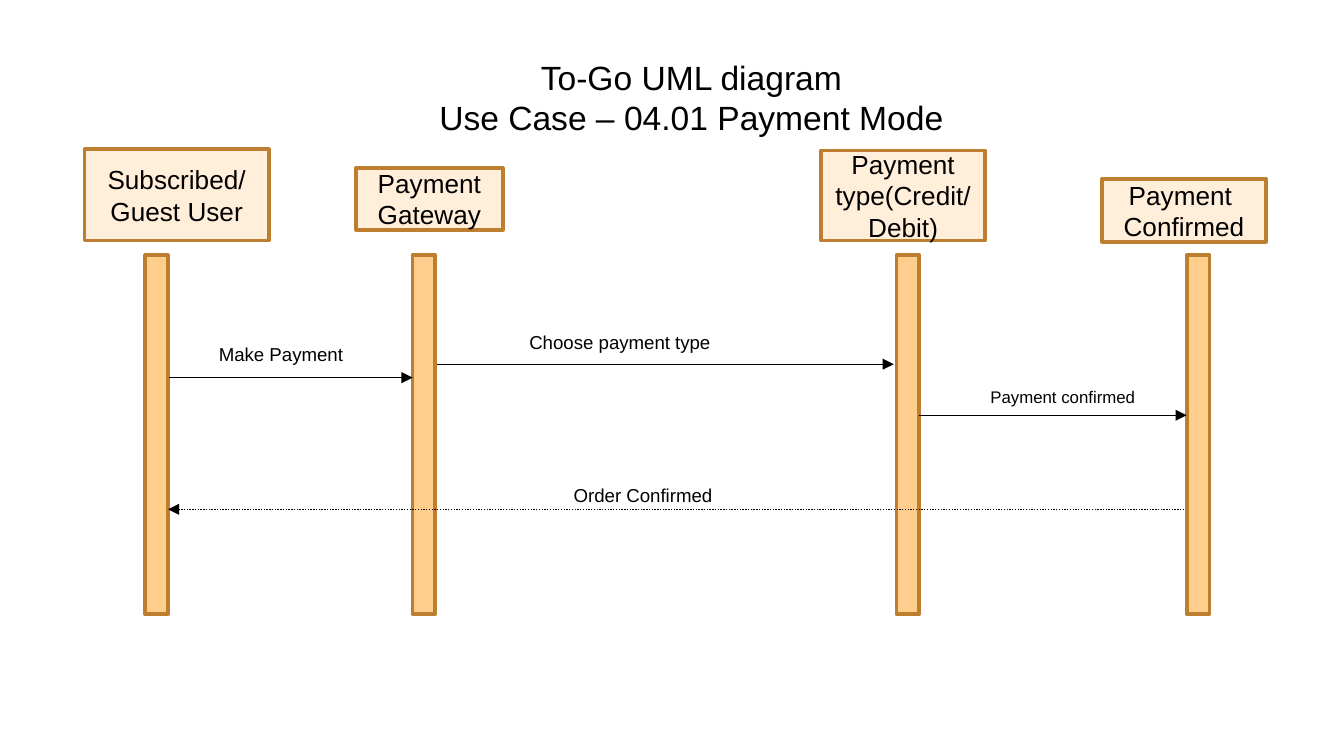
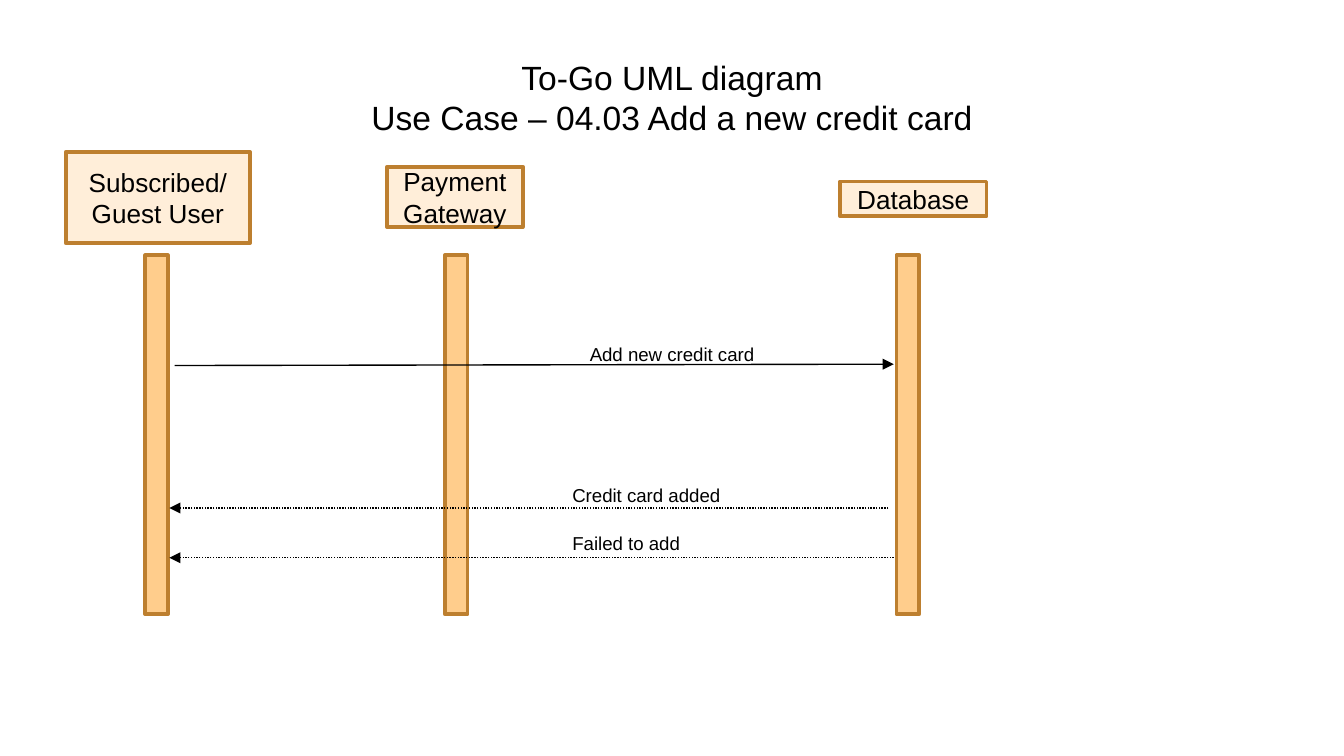
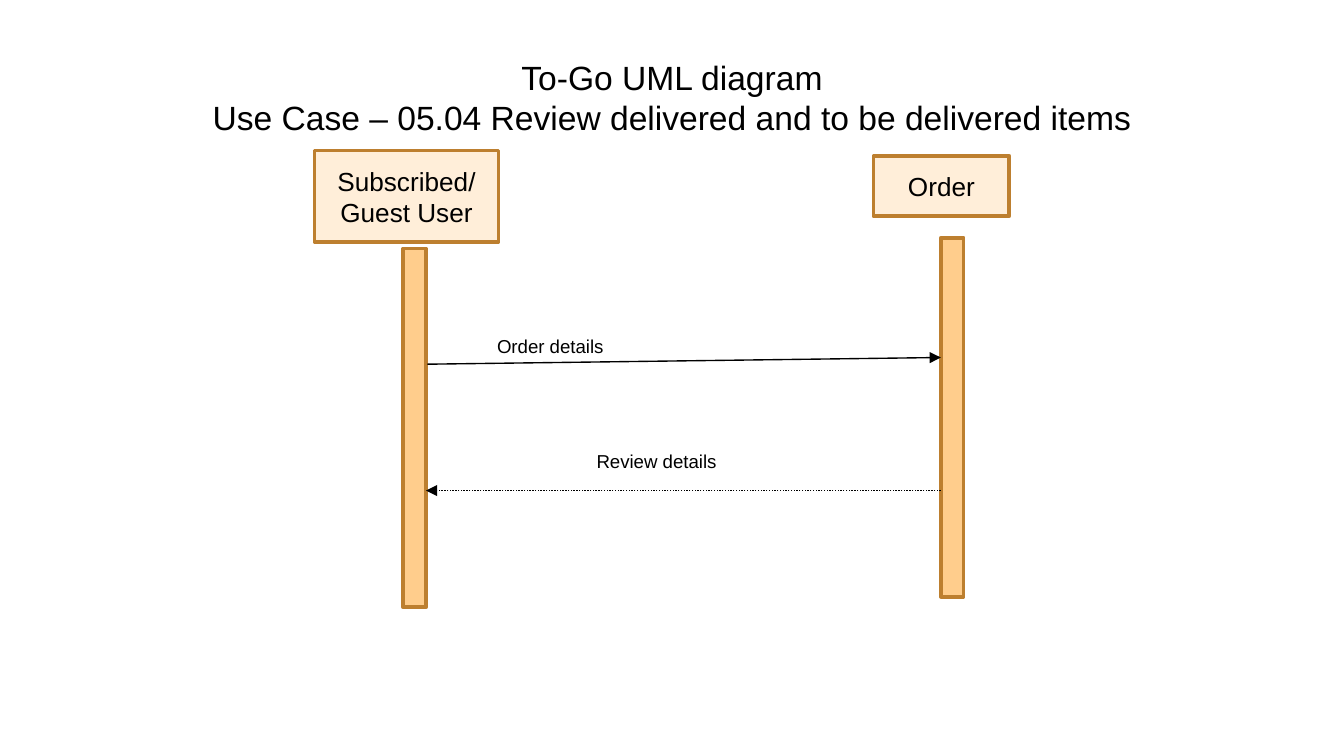
from dataclasses import dataclass

from lxml.etree import SubElement
from pptx import Presentation
from pptx.dml.color import RGBColor
from pptx.enum.dml import MSO_LINE
from pptx.enum.shapes import MSO_CONNECTOR, MSO_SHAPE
from pptx.enum.text import MSO_ANCHOR, MSO_AUTO_SIZE, PP_ALIGN
from pptx.oxml.ns import qn
from pptx.shapes.autoshape import Shape
from pptx.slide import Slide
from pptx.util import Inches, Pt

COLOURS = {"ink": "000000", "bar": "FFCD8C", "head": "FFEED9", "edge": "BD7F2F"}
FONT = "Arial"
SLIDE_WIDTH = Inches(10)
SLIDE_HEIGHT = SLIDE_WIDTH * 9 // 16
BAR_WIDTH, BAR_HEIGHT, BAR_TOP = 0.17, 2.67, 1.9
TITLE_TOP, TITLE_HEIGHT, TITLE_RIGHT = 0.32, 0.71, 9.66
USER = "Subscribed/Guest User"
USER_SIZE = (1.37, 0.68)


@dataclass(frozen=True)
class Participant:
    name: str
    corner: tuple[float, float]
    size: tuple[float, float]
    bar_left: float
    bar_top: float = BAR_TOP


@dataclass(frozen=True)
class Message:
    """An arrow from sender to receiver; a reply is dotted."""
    text: str
    start: tuple[float, float]
    end: tuple[float, float]
    label_corner: tuple[float, float]
    label_width: float
    reply: bool = False
    size: float = 10
    label_height: float = 0.27
    wrap: bool = True


@dataclass(frozen=True)
class Diagram:
    use_case: str
    participants: list[Participant]
    messages: list[Message]
    title_left: float = 0.34


DIAGRAMS = [
    Diagram(
        "04.01 Payment Mode",
        [
            Participant(USER, (0.63, 1.11), USER_SIZE, 1.08),
            Participant("Payment Gateway", (2.65, 1.25), (1.09, 0.46), 3.07),
            Participant("Payment type(Credit/Debit)", (6.11, 1.12), (1.22, 0.67), 6.67),
            Participant("Payment \nConfirmed", (8.2, 1.33), (1.22, 0.47), 8.83),
        ],
        [
            Message("Make Payment", (1.26, 2.81), (3.07, 2.81), (1.53, 2.5), 1.12),
            Message("Choose payment type", (3.25, 2.71), (6.65, 2.71), (3.84, 2.41), 1.58),
            Message("Payment confirmed", (6.84, 3.09), (8.83, 3.09), (7.27, 2.83), 1.39,
                    size=9, label_height=0.25),
            Message("Order Confirmed", (8.81, 3.79), (1.25, 3.79), (4.17, 3.55), 1.25,
                    reply=True),
        ],
        title_left=0.63,
    ),
    Diagram(
        "04.03 Add a new credit card",
        [
            Participant(USER, (0.49, 1.13), USER_SIZE, 1.08),
            Participant("Payment Gateway", (2.88, 1.24), (1.01, 0.45), 3.31),
            Participant("Database", (6.25, 1.35), (1.09, 0.26), 6.67),
        ],
        [
            Message("Add new credit card", (1.3, 2.72), (6.65, 2.71), (4.29, 2.5), 1.43,
                    wrap=False),
            Message("Credit card added", (6.61, 3.78), (1.26, 3.78), (4.16, 3.55), 1.31,
                    reply=True),
            Message("Failed to add", (6.65, 4.15), (1.26, 4.15), (4.16, 3.91), 1.01,
                    reply=True),
        ],
    ),
    Diagram(
        "05.04 Review delivered and to be delivered items",
        [
            Participant(USER, (2.34, 1.12), USER_SIZE, 3, 1.85),
            Participant("Order", (6.5, 1.16), (1.01, 0.45), 7, 1.77),
        ],
        [
            Message("Order details", (3.18, 2.71), (7, 2.66), (3.6, 2.44), 1, wrap=False),
            Message("Review details", (7, 3.65), (3.17, 3.65), (4.34, 3.3), 1.31, reply=True),
        ],
    ),
]


def colour(name: str) -> RGBColor:
    return RGBColor.from_string(COLOURS[name])


def write(box: Shape, text: str, *, size: float, align: PP_ALIGN = PP_ALIGN.LEFT,
          anchor: MSO_ANCHOR = MSO_ANCHOR.TOP, wrap: bool = True) -> None:
    frame = box.text_frame
    frame.word_wrap = wrap
    frame.vertical_anchor = anchor
    frame.text = text
    for para in frame.paragraphs:
        para.alignment = align
        for span in para.runs:
            span.font.name = FONT
            span.font.size = Pt(size)
            span.font.color.rgb = colour("ink")


def add_box(page: Slide, left: float, top: float, width: float, height: float,
            fill: str) -> Shape:
    box = page.shapes.add_shape(MSO_SHAPE.RECTANGLE, Inches(left), Inches(top),
                                Inches(width), Inches(height))
    box.shadow.inherit = False
    box.fill.solid()
    box.fill.fore_color.rgb = colour(fill)
    box.line.color.rgb = colour("edge")
    box.line.width = Pt(2)
    return box


def add_title(page: Slide, diagram: Diagram) -> None:
    box = page.shapes.add_textbox(Inches(diagram.title_left), Inches(TITLE_TOP),
                                  Inches(TITLE_RIGHT - diagram.title_left),
                                  Inches(TITLE_HEIGHT))
    box.text_frame.margin_top = box.text_frame.margin_bottom = Inches(0.1)
    write(box, f"To-Go UML diagram\vUse Case – {diagram.use_case}", size=18,
          align=PP_ALIGN.CENTER)


def add_participant(page: Slide, participant: Participant) -> None:
    add_box(page, participant.bar_left, participant.bar_top, BAR_WIDTH, BAR_HEIGHT, "bar")
    head = add_box(page, *participant.corner, *participant.size, "head")
    write(head, participant.name, size=14, align=PP_ALIGN.CENTER, anchor=MSO_ANCHOR.MIDDLE)


def add_message(page: Slide, message: Message) -> None:
    ends = [Inches(value) for value in (*message.start, *message.end)]
    arrow = page.shapes.add_connector(MSO_CONNECTOR.STRAIGHT, *ends)
    arrow.line.color.rgb = colour("ink")
    arrow.line.width = Pt(0.75)
    if message.reply:
        arrow.line.dash_style = MSO_LINE.ROUND_DOT
    SubElement(arrow.line._get_or_add_ln(), qn("a:tailEnd"), type="triangle")
    SubElement(arrow._element.spPr, qn("a:effectLst"))

    left, top = message.label_corner
    label = page.shapes.add_textbox(Inches(left), Inches(top), Inches(message.label_width),
                                    Inches(message.label_height))
    write(label, message.text, size=message.size, wrap=message.wrap)
    label.text_frame.auto_size = MSO_AUTO_SIZE.SHAPE_TO_FIT_TEXT


def main() -> None:
    deck = Presentation()
    deck.slide_width, deck.slide_height = SLIDE_WIDTH, SLIDE_HEIGHT
    blank = deck.slide_layouts[6]
    for diagram in DIAGRAMS:
        page = deck.slides.add_slide(blank)
        add_title(page, diagram)
        for participant in diagram.participants:
            add_participant(page, participant)
        for message in diagram.messages:
            add_message(page, message)
    deck.save("out.pptx")


if __name__ == "__main__":
    main()
